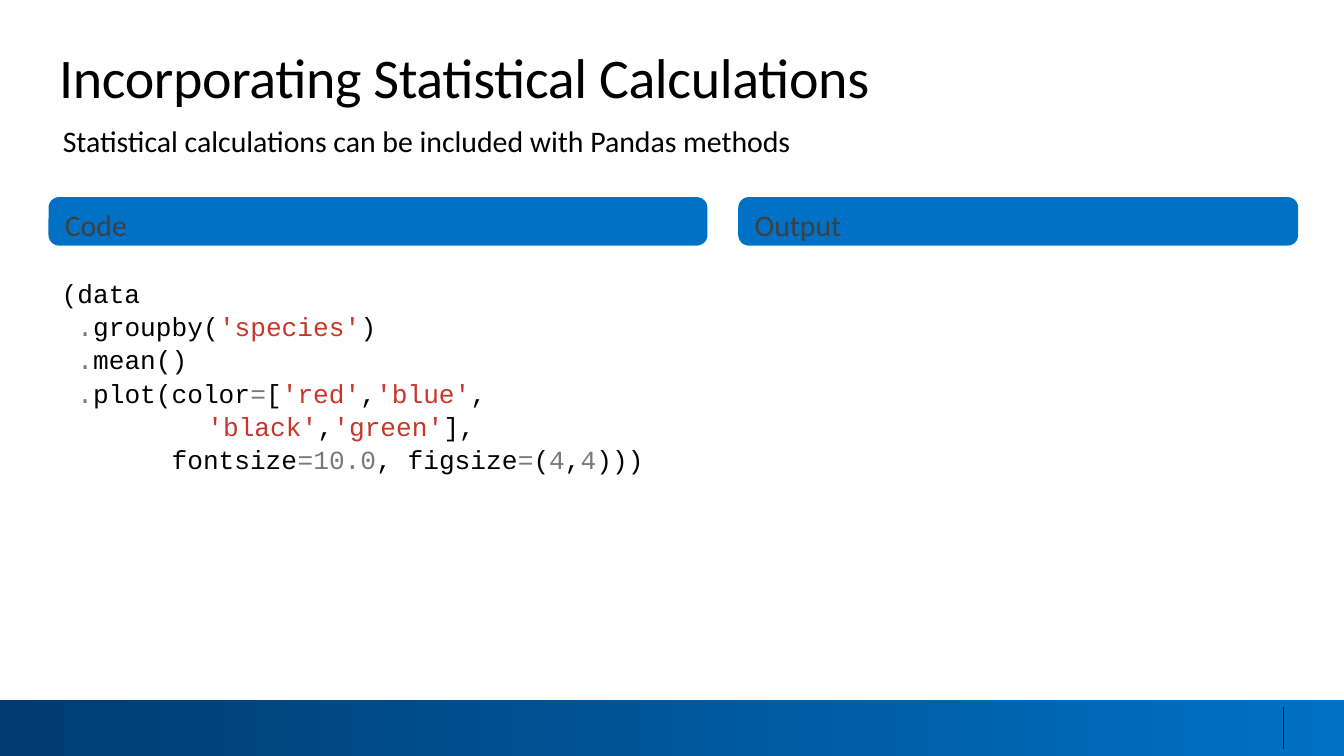
import pptx
import pptx.dml.color
import pptx.enum.dml
import pptx.enum.shapes
import pptx.enum.text
import pptx.oxml
import pptx.util
from pptx.util import Pt

# Content
TITLE = "Incorporating Statistical Calculations"
SUBTITLE = "Statistical calculations can be included with Pandas methods"
HEADINGS = [("Code", 26, 353), ("Output", 395.5, 300)]  # text, left, width

BLACK, GRAY, RED = "000000", "797979", "C8352B"
BLUE, NAVY, CHARCOAL = "0071C5", "003C71", "404040"
CODE = [
    [("(data", BLACK)],
    [(" .", GRAY), ("groupby(", BLACK), ("'species'", RED), (")", BLACK)],
    [(" .", GRAY), ("mean()", BLACK)],
    [(" .", GRAY), ("plot(color", BLACK), ("=", GRAY), ("[", BLACK),
     ("'red'", RED), (",", BLACK), ("'blue'", RED), (",", BLACK)],
    [("  \t     'black'", RED), (",", BLACK), ("'green'", RED), ("],", BLACK)],
    [("       fontsize", BLACK), ("=10.0", GRAY), (", figsize", BLACK),
     ("=", GRAY), ("(", BLACK), ("4", GRAY), (",", BLACK), ("4", GRAY),
     (")))", BLACK)],
]

# Layout in points
WIDTH, HEIGHT = 720, 405
FOOTER_HEIGHT = 30
FOOTER_TOP = HEIGHT - FOOTER_HEIGHT
TITLE_BOX = (31.7, 23, 664.5, 36)
SUBTITLE_BOX = (26.6, 62, 538.5, 26)
CODE_BOX = (26, 144, 358.5, 108)
HEADING_TOP, HEADING_HEIGHT = 105.6, 26
DIVIDER_X, DIVIDER_MARGIN = 687.6, 3.7

# Formats
INSETS = {"margin_left": Pt(7.2), "margin_right": Pt(7.2),
          "margin_top": Pt(3.6), "margin_bottom": Pt(3.6)}
FRAME = {"word_wrap": True,
         "auto_size": pptx.enum.text.MSO_AUTO_SIZE.NONE,
         "vertical_anchor": pptx.enum.text.MSO_ANCHOR.TOP}
LEFT = {"alignment": pptx.enum.text.PP_ALIGN.LEFT}


def color(hex_text):
    return pptx.dml.color.RGBColor.from_string(hex_text)


def apply(target, values):
    for name, value in values.items():
        setattr(target, name, value)


def points(box):
    return [Pt(value) for value in box]


def write(shape, lines, font, size, insets=INSETS, **paragraph_format):
    frame = shape.text_frame
    apply(frame, {**FRAME, **insets})
    for index, runs in enumerate(lines):
        paragraph = frame.add_paragraph() if index else frame.paragraphs[0]
        apply(paragraph, {**LEFT, **paragraph_format})
        for text, hex_text in runs:
            run = paragraph.add_run()
            run.text = text
            apply(run.font, {"name": font, "size": Pt(size), "bold": False})
            run.font.color.rgb = color(hex_text)


def add_block(slide, kind, box):
    shape = slide.shapes.add_shape(kind, *points(box))
    shape.shadow.inherit = False
    shape.line.fill.background()
    return shape


presentation = pptx.Presentation()
apply(presentation, {"slide_width": Pt(WIDTH), "slide_height": Pt(HEIGHT)})
slide = presentation.slides.add_slide(presentation.slide_layouts[5])
SHAPES = pptx.enum.shapes.MSO_SHAPE

# Footer band and divider
footer = add_block(slide, SHAPES.RECTANGLE, (0, FOOTER_TOP, WIDTH, FOOTER_HEIGHT))
footer.fill.gradient()
footer.fill.gradient_angle = 180
for stop, hex_text, position in zip(footer.fill.gradient_stops, (BLUE, NAVY), (0, 1)):
    stop.color.rgb = color(hex_text)
    stop.position = position

divider = slide.shapes.add_connector(
    pptx.enum.shapes.MSO_CONNECTOR.STRAIGHT,
    *points((DIVIDER_X, FOOTER_TOP + DIVIDER_MARGIN,
             DIVIDER_X, HEIGHT - DIVIDER_MARGIN)))
divider.line.width = Pt(0.75)
divider.line.color.rgb = color(BLACK)
divider._element.spPr.append(pptx.oxml.parse_xml(
    '<a:effectLst xmlns:a="http://schemas.openxmlformats.org/drawingml/2006/main"/>'))

# Title and subtitle
title = slide.shapes.title
apply(title, dict(zip(("left", "top", "width", "height"), points(TITLE_BOX))))
write(title, [[(TITLE, BLACK)]], "Calibri", 30, dict.fromkeys(INSETS, 0))
for run in title.text_frame.paragraphs[0].runs:
    run.font._element.set("spc", "-20")

subtitle = slide.shapes.add_textbox(*points(SUBTITLE_BOX))
write(subtitle, [[(SUBTITLE, BLACK)]], "Calibri", 16, space_after=Pt(6))

# Heading bars
for text, left, width in HEADINGS:
    bar = add_block(slide, SHAPES.ROUNDED_RECTANGLE,
                    (left, HEADING_TOP, width, HEADING_HEIGHT))
    bar.adjustments[0] = 0.22
    bar.fill.solid()
    bar.fill.fore_color.rgb = color(BLUE)
    write(bar, [[(text, CHARCOAL)]], "Calibri", 16)

# Code listing
listing = slide.shapes.add_textbox(*points(CODE_BOX))
write(listing, CODE, "Courier New", 14, line_spacing=1.06)

presentation.save("out.pptx")
